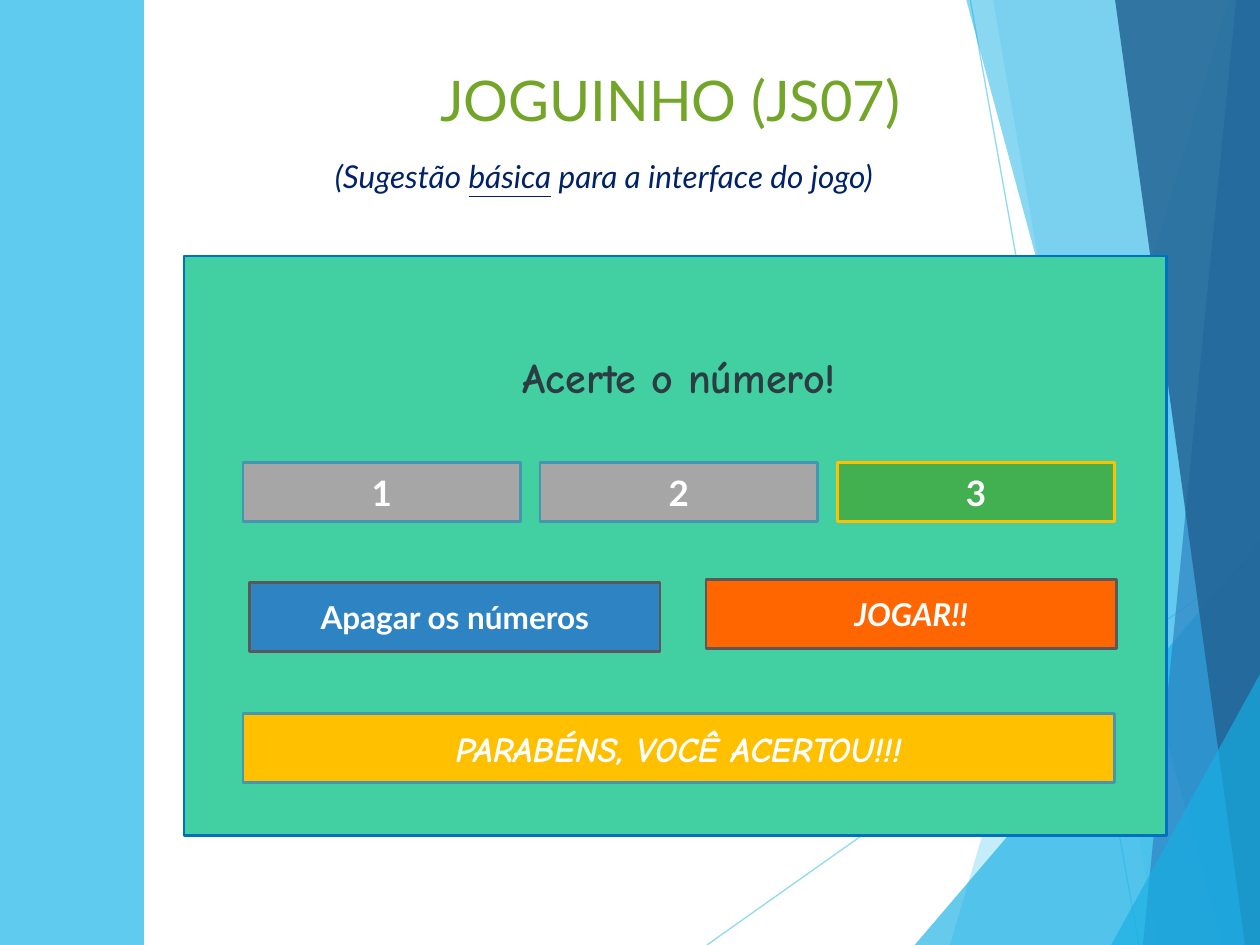
"""Build the JOGUINHO (JS07) game interface slide."""
import pptx
import pptx.util
import pptx.dml.color
import pptx.enum.shapes
import pptx.enum.text
import pptx.oxml
import pptx.oxml.ns

Cm = pptx.util.Cm
Pt = pptx.util.Pt
RGB = pptx.dml.color.RGBColor
ALIGN = pptx.enum.text.PP_ALIGN
ANCHOR = pptx.enum.text.MSO_ANCHOR
RECT = pptx.enum.shapes.MSO_SHAPE.RECTANGLE
STRAIGHT = pptx.enum.shapes.MSO_CONNECTOR.STRAIGHT

SKY = RGB(0x5F, 0xCB, 0xEF)
CYAN = RGB(0x17, 0xB0, 0xE4)
BLUE = RGB(0x2E, 0x83, 0xC3)
DEEP = RGB(0x22, 0x62, 0x92)
LIME = RGB(0x72, 0xA5, 0x28)
NAVY = RGB(0x00, 0x22, 0x69)
MINT = RGB(0x42, 0xD0, 0xA2)
EDGE = RGB(0x00, 0x70, 0xC0)
GRAY = RGB(0xA6, 0xA6, 0xA6)
TEAL = RGB(0x46, 0x96, 0xB1)
GREEN = RGB(0x42, 0xB0, 0x51)
GOLD = RGB(0xFF, 0xC0, 0x00)
SLATE = RGB(0x59, 0x59, 0x59)
ORANGE = RGB(0xFF, 0x66, 0x00)
WHITE = RGB(0xFF, 0xFF, 0xFF)
INK = RGB(0x2C, 0x3C, 0x43)

WIDTH, HEIGHT = 25.4, 19.05
RAYS = [((14.25, 19.05), (25.4, 11.17)), ((19.56, 0), (22.96, 19.05))]
FACETS = [
    (SKY, 36, [(24.77, 0), (19.15, 19.05), (25.4, 19.05), (25.4, 0)]),
    (SKY, 20, [(20.02, 0), (23.34, 19.05), (25.4, 19.05), (25.4, 0)]),
    (CYAN, 66, [(18.44, 19.05), (25.4, 10.9), (25.4, 19.05)]),
    (CYAN, 50, [(19.48, 0), (24.64, 19.05), (25.4, 19.05), (25.4, 0)]),
    (BLUE, 70, [(24.92, 0), (23.04, 19.05), (25.4, 19.05), (25.4, 0)]),
    (DEEP, 82, [(22.48, 0), (25.1, 19.05), (25.4, 19.05), (25.4, 0)]),
    (CYAN, 66, [(22.4, 19.05), (25.4, 13.59), (25.4, 19.05)]),
]


def fade(shape, alpha):
    """Make the solid colours of a shape translucent, in percent."""
    for tone in shape.element.iter(pptx.oxml.ns.qn("a:srgbClr")):
        node = pptx.oxml.parse_xml(
            f'<a:alpha {pptx.oxml.ns.nsdecls("a")} val="{alpha * 1000}"/>')
        tone.append(node)


def write(shape, runs, color, style, align=ALIGN.CENTER):
    """Fill a shape with one paragraph of (text, extra style) runs."""
    frame = shape.text_frame
    frame.word_wrap = True
    para = frame.paragraphs[0]
    para.alignment = align
    for text, extra in runs:
        run = para.add_run()
        run.text = text
        run.font.color.rgb = color
        for key, value in {**style, **extra}.items():
            setattr(run.font, key, value)


def add_text(slide, box, runs, color, style, align=ALIGN.CENTER):
    """Add a text box."""
    shape = slide.shapes.add_textbox(*map(Cm, box))
    write(shape, runs, color, style, align)


def add_block(slide, box, fill, line=None):
    """Add a flat rectangle."""
    shape = slide.shapes.add_shape(RECT, *map(Cm, box))
    shape.shadow.inherit = False
    shape.fill.solid()
    shape.fill.fore_color.rgb = fill
    if line is None:
        shape.line.fill.background()
    else:
        shape.line.color.rgb = line
        shape.line.width = Pt(1.5)
    return shape


def add_button(slide, box, text, fill, line, style):
    """Add a rectangle with a white bold label."""
    shape = add_block(slide, box, fill, line)
    shape.text_frame.vertical_anchor = ANCHOR.MIDDLE
    write(shape, [(text, {})], WHITE, {"name": "Lato", "bold": True, **style})


def draw_decor(slide, box):
    """Draw the side band, thin rays and translucent facets."""
    left, top, wide, high = box
    for start, end in RAYS:
        ends = [Cm(left + start[0]), Cm(top + start[1]),
                Cm(left + end[0]), Cm(top + end[1])]
        ray = slide.shapes.add_connector(STRAIGHT, *ends)
        ray.line.color.rgb = SKY
        ray.line.width = Pt(0.75)
        fade(ray, 70)
        ray.element.spPr.append(pptx.oxml.parse_xml(
            f'<a:effectLst {pptx.oxml.ns.nsdecls("a")}/>'))
    for color, alpha, points in FACETS:
        spots = [(Cm(left + x), Cm(top + y)) for x, y in points]
        path = slide.shapes.build_freeform(*spots[0])
        path.add_line_segments(spots[1:], close=True)
        facet = path.convert_to_shape()
        facet.shadow.inherit = False
        facet.fill.solid()
        facet.fill.fore_color.rgb = color
        facet.line.fill.background()
        fade(facet, alpha)
    add_block(slide, (left, top, 2.9, high), SKY)


def draw_header(slide, box):
    """Write the title and the note below it."""
    left, top, wide, high = box
    add_text(slide, (left, top, wide, 1.85), [("JOGUINHO (JS07)", {})],
             LIME, {"name": "Lato", "size": Pt(32)})
    runs = [("(Sugestão ", {}), ("básica", {"underline": True}),
            (" para a interface do jogo)", {})]
    add_text(slide, (left + 2.79, top + 1.85, 14.38, 1.02), runs, NAVY,
             {"name": "Lato", "size": Pt(18), "italic": True}, ALIGN.LEFT)


def draw_game(slide, box):
    """Draw the game panel with its prompt, numbers, buttons and result."""
    left, top, wide, high = box
    add_block(slide, box, MINT, EDGE)
    edge, gap, cell = left + 1.19, 0.4, 5.59
    for step in range(3):
        fill, line = (GREEN, GOLD) if step == 2 else (GRAY, TEAL)
        spot = (edge + step * (cell + gap), top + 4.17, cell, 1.19)
        add_button(slide, spot, str(step + 1), fill, line, {"size": Pt(20)})
    add_button(slide, (left + 1.32, top + 6.58, 8.28, 1.4),
               "Apagar os números", BLUE, SLATE, {"size": Pt(18)})
    add_button(slide, (left + 10.52, top + 6.52, 8.28, 1.4),
               "JOGAR!!", ORANGE, SLATE, {"size": Pt(18), "italic": True})
    add_button(slide, (edge, top + 9.22, 3 * cell + 2 * gap, 1.4),
               "PARABÉNS, VOCÊ ACERTOU!!!", GOLD, TEAL,
               {"name": "Comic Neue", "size": Pt(20), "italic": True})
    add_text(slide, (left + 4.39, top + 1.8, 11.18, 1.27),
             [("Acerte o número!", {})], INK,
             {"name": "Comic Neue", "size": Pt(24), "bold": True})


def main():
    """Build and save the slide."""
    deck = pptx.Presentation()
    deck.slide_width, deck.slide_height = Cm(WIDTH), Cm(HEIGHT)
    slide = deck.slides.add_slide(deck.slide_layouts[6])
    draw_decor(slide, (0, 0, WIDTH, HEIGHT))
    draw_header(slide, (3.71, 1.19, 19.61, 2.87))
    draw_game(slide, (3.71, 5.16, 19.81, 11.68))
    deck.save("out.pptx")


if __name__ == "__main__":
    main()
